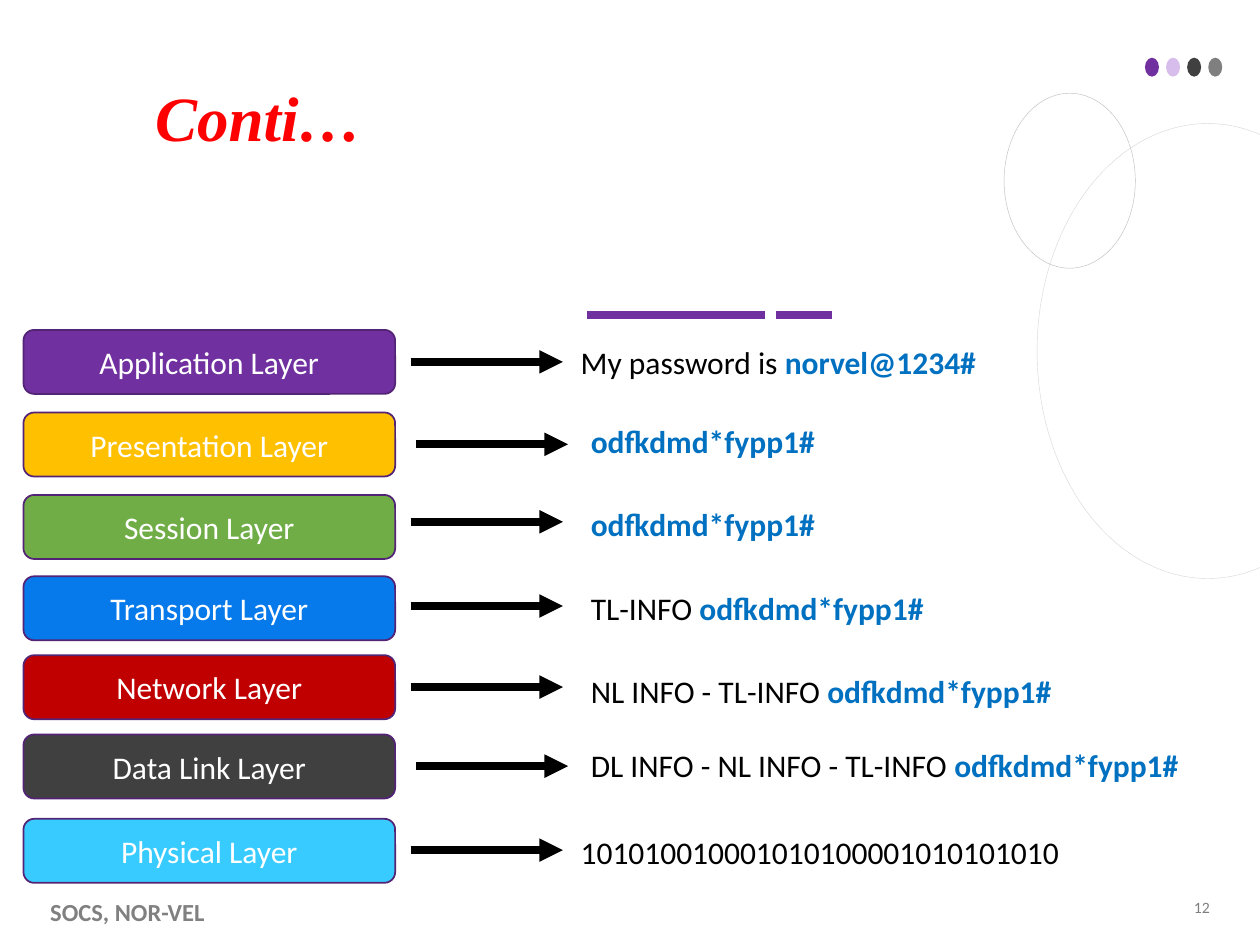
import pptx
import pptx.dml.color
import pptx.enum.shapes
import pptx.enum.text
import pptx.oxml.ns
import pptx.util
from dataclasses import dataclass
from lxml import etree

Pt = pptx.util.Pt
Shape = pptx.enum.shapes.MSO_SHAPE
Align = pptx.enum.text.PP_ALIGN
Anchor = pptx.enum.text.MSO_ANCHOR
AutoSize = pptx.enum.text.MSO_AUTO_SIZE
qn = pptx.oxml.ns.qn


@dataclass(frozen=True)
class Theme:
    body_font: str = "Calibri"
    title_font: str = "Times New Roman"
    title_size: float = 36
    body_size: float = 18
    footer_size: float = 14
    number_size: float = 9
    title: str = "FF0000"
    accent: str = "7030A0"
    accent_dark: str = "532476"
    lilac: str = "C7A2E3"
    charcoal: str = "404040"
    gray: str = "7F7F7F"
    footer: str = "808080"
    ring_large: str = "D9D9D9"
    ring_small: str = "BFBFBF"
    black: str = "000000"
    white: str = "FFFFFF"
    cipher: str = "0070C0"
    amber: str = "FFC000"
    green: str = "70AD47"
    blue: str = "0679EB"
    red: str = "C00000"
    sky: str = "37CBFF"


class SlideBuilder:
    def __init__(self, slide, theme):
        self.slide = slide
        self.theme = theme

    def color(self, value):
        return pptx.dml.color.RGBColor.from_string(value)

    def add_span(self, para, text, size, color, bold=False, italic=False, font=None):
        span = para.add_run()
        span.text = text
        span.font.name = font or self.theme.body_font
        span.font.size = Pt(size)
        span.font.bold = bold
        span.font.italic = italic
        span.font.color.rgb = self.color(color)

    def title(self, text, left, top, width, height):
        box = self.slide.shapes.title
        box.left, box.top, box.width, box.height = map(Pt, (left, top, width, height))
        frame = box.text_frame
        frame.auto_size = AutoSize.NONE
        frame.word_wrap = True
        frame.vertical_anchor = Anchor.BOTTOM
        frame.margin_left = frame.margin_right = frame.margin_top = frame.margin_bottom = 0
        para = frame.paragraphs[0]
        para.alignment = Align.JUSTIFY
        para.line_spacing = 1.5
        self.add_span(para, text, self.theme.title_size, self.theme.title,
                      bold=True, italic=True, font=self.theme.title_font)

    def text(self, left, top, width, height, spans, size, align=Align.LEFT,
             anchor=Anchor.TOP):
        """Each span is a (text, color, bold) tuple."""
        box = self.slide.shapes.add_textbox(*map(Pt, (left, top, width, height)))
        frame = box.text_frame
        frame.word_wrap = True
        frame.vertical_anchor = anchor
        para = frame.paragraphs[0]
        para.alignment = align
        for text, color, bold in spans:
            self.add_span(para, text, size, color, bold)

    def shape(self, kind, left, top, width, height, fill=None, line=None,
              line_width=1, opacity=None):
        shape = self.slide.shapes.add_shape(kind, *map(Pt, (left, top, width, height)))
        shape.shadow.inherit = False
        if fill:
            shape.fill.solid()
            shape.fill.fore_color.rgb = self.color(fill)
        else:
            shape.fill.background()
        if line:
            shape.line.color.rgb = self.color(line)
            shape.line.width = Pt(line_width)
        else:
            shape.line.fill.background()
        if opacity:
            tone = shape.fill._xPr.find(".//" + qn("a:srgbClr"))
            etree.SubElement(tone, qn("a:alpha"), val=str(opacity * 1000))
        return shape

    def layer(self, name, left, top, width, height, fill):
        box = self.shape(Shape.ROUNDED_RECTANGLE, left, top, width, height,
                         fill, self.theme.accent_dark)
        frame = box.text_frame
        frame.vertical_anchor = Anchor.MIDDLE
        para = frame.paragraphs[0]
        para.alignment = Align.CENTER
        self.add_span(para, name, self.theme.body_size, self.theme.white)

    def line(self, left, right, y, color, arrow=False):
        line = self.slide.shapes.add_connector(
            pptx.enum.shapes.MSO_CONNECTOR.STRAIGHT, Pt(left), Pt(y), Pt(right), Pt(y))
        line.line.color.rgb = self.color(color)
        line.line.width = Pt(4.5)
        if arrow:
            etree.SubElement(line.line._get_or_add_ln(), qn("a:tailEnd"), type="triangle")
        etree.SubElement(line._element.spPr, qn("a:effectLst"))


def main():
    theme = Theme()
    deck = pptx.Presentation()
    deck.slide_width, deck.slide_height = Pt(720), Pt(540)
    page = SlideBuilder(deck.slides.add_slide(deck.slide_layouts[5]), theme)

    # Decoration: dashes, dots and rings
    for left, right in ((335.5, 437), (443.5, 475.5)):
        page.line(left, right, 180, theme.accent)
    dots = ((theme.accent, None), (theme.lilac, 70), (theme.charcoal, None), (theme.gray, None))
    for index, (fill, opacity) in enumerate(dots):
        page.shape(Shape.OVAL, 654.3 + 12.05 * index, 33, 8, 10.8, fill, opacity=opacity)
    page.shape(Shape.OVAL, 592.6, 70.6, 195, 260, line=theme.ring_large, line_width=0.25)
    page.shape(Shape.OVAL, 573.8, 53.3, 75, 100, line=theme.ring_small, line_width=0.25)

    # Title and footer
    page.title("Conti…", 88.6, 38.2, 598.3, 49.7)
    page.text(536.4, 509, 162, 19.4, [("12", theme.gray, False)],
              theme.number_size, Align.RIGHT, Anchor.MIDDLE)
    page.text(21.6, 509, 134, 19.4, [("SOCS, NOR-VEL", theme.footer, True)],
              theme.footer_size)

    # Layers: name, fill, box top, arrow left, arrow y, text left, text top, header, data
    cipher = "odfkdmd*fypp1#"
    near, far = 324.7, 330.5
    layers = (
        ("Application Layer", theme.accent, 188.5, 234.7, 206.8, near, 192.2,
         "My password is ", "norvel@1234#"),
        ("Presentation Layer", theme.amber, 235.7, 237.6, 253.9, far, 237.6, "", cipher),
        ("Session Layer", theme.green, 282.8, 234.7, 298.2, far, 285.1, "", cipher),
        ("Transport Layer", theme.blue, 329.3, 234.7, 346.3, far, 333.2, "TL-INFO ", cipher),
        ("Network Layer", theme.red, 374.4, 234.7, 392.6, far, 380.4,
         "NL INFO - TL-INFO ", cipher),
        ("Data Link Layer", theme.charcoal, 419.7, 237.6, 437.8, far, 422.6,
         "DL INFO - NL INFO - TL-INFO ", cipher),
        ("Physical Layer", theme.sky, 467.9, 234.7, 485.8, near, 472.2,
         "101010010001010100001010101010", ""),
    )
    for name, fill, top, arrow_left, arrow_y, text_left, text_top, header, data in layers:
        page.layer(name, 13.4, top, 212.4, 36.6, fill)
        page.line(arrow_left, arrow_left + 87, arrow_y, theme.black, arrow=True)
        spans = [(header, theme.black, False), (data, theme.cipher, True)]
        page.text(text_left, text_top, 720 - far, 29,
                  [span for span in spans if span[0]], theme.body_size)

    deck.save("out.pptx")


if __name__ == "__main__":
    main()
